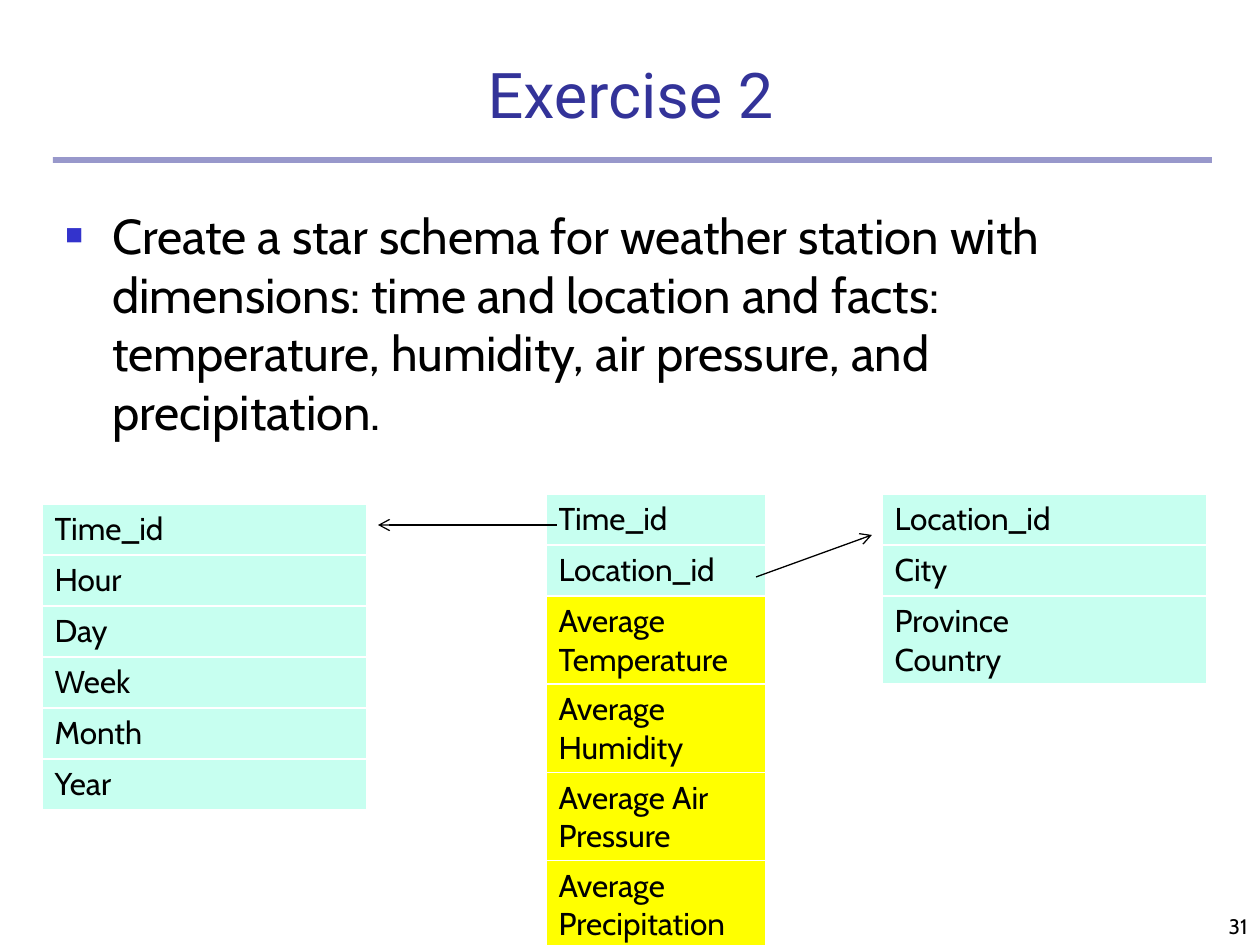
from dataclasses import dataclass

from lxml.etree import SubElement
from pptx import Presentation
from pptx.dml.color import RGBColor
from pptx.enum.shapes import MSO_CONNECTOR, MSO_SHAPE
from pptx.enum.text import MSO_ANCHOR, PP_ALIGN
from pptx.oxml import parse_xml
from pptx.oxml.ns import nsdecls, qn
from pptx.util import Emu, Pt

EMU_PER_PX = 914400 / 126
COLORS = {
    "title": "333399",
    "bullet": "3333CC",
    "text": "000000",
    "key": "C7FFF0",
    "fact": "FFFF00",
    "border": "FFFFFF",
}
KEY_ROW, TALL_ROW = 51, 88


@dataclass(frozen=True)
class Row:
    text: str
    height: int = KEY_ROW
    fill: str = "key"


@dataclass(frozen=True)
class SchemaTable:
    left: int
    top: int
    width: int
    rows: tuple[Row, ...]


@dataclass(frozen=True)
class Arrow:
    start: tuple[int, int]
    end: tuple[int, int]


FACTS = ("Temperature", "Humidity", "Air Pressure", "Precipitation")
TABLES = (
    SchemaTable(546, 494, 220, (
        Row("Time_id"),
        Row("Location_id"),
        *(Row(f"Average {fact}", TALL_ROW, "fact") for fact in FACTS),
    )),
    SchemaTable(42, 504, 325, tuple(
        Row(name) for name in ("Time_id", "Hour", "Day", "Week", "Month", "Year")
    )),
    SchemaTable(882, 494, 325, (
        Row("Location_id"), Row("City"), Row("Province\nCountry", TALL_ROW),
    )),
)
ARROWS = (
    Arrow((557, 525), (378, 525)),
    Arrow((756, 577), (872, 535)),
)


def px(n: int) -> Emu:
    return Emu(round(n * EMU_PER_PX))


def rgb(name: str) -> RGBColor:
    return RGBColor.from_string(COLORS[name])


def write(tf, text: str, size: int, font: str = "Cabin", color: str = "text",
          align=PP_ALIGN.LEFT) -> None:
    tf.text = text
    for p in tf.paragraphs:
        p.alignment = align
        for r in p.runs:
            for name, value in {"size": Pt(size), "name": font}.items():
                setattr(r.font, name, value)
            r.font.color.rgb = rgb(color)


def add_text(s, box: tuple[int, int, int, int], text: str, size: int, **style):
    tf = s.shapes.add_textbox(*map(px, box)).text_frame
    tf.word_wrap = True
    write(tf, text, size, **style)
    return tf


def add_bullet(p) -> None:
    pPr = p._p.get_or_add_pPr()
    pPr.set("marL", str(px(47)))
    pPr.set("indent", str(-px(47)))
    color = SubElement(pPr, qn("a:buClr"))
    SubElement(color, qn("a:srgbClr"), val=COLORS["bullet"])
    SubElement(pPr, qn("a:buSzPct"), val="60000")
    SubElement(pPr, qn("a:buFont"), typeface="Arial")
    SubElement(pPr, qn("a:buChar"), char="■")


def add_title_rule(s) -> None:
    sp = s.shapes.add_shape(MSO_SHAPE.RECTANGLE, *map(px, (53, 157, 1159, 6)))
    sp.shadow.inherit = False
    sp.fill.solid()
    sp.fill.fore_color.rgb = rgb("title")
    sp.line.fill.background()
    color = sp.fill._xPr.find(qn("a:solidFill"))[0]
    SubElement(color, qn("a:alpha"), val="50000")


def add_borders(cell) -> None:
    tcPr = cell._tc.get_or_add_tcPr()
    for i, side in enumerate(("lnL", "lnR", "lnT", "lnB")):
        tcPr.insert(i, parse_xml(
            f'<a:{side} {nsdecls("a")} w="{Pt(1)}"><a:solidFill>'
            f'<a:srgbClr val="{COLORS["border"]}"/></a:solidFill></a:{side}>'
        ))


def add_schema_table(s, spec: SchemaTable) -> None:
    height = sum(row.height for row in spec.rows)
    table = s.shapes.add_table(
        len(spec.rows), 1, *map(px, (spec.left, spec.top, spec.width, height))
    ).table
    table.first_row = table.horz_banding = False
    for i, row in enumerate(spec.rows):
        table.rows[i].height = px(row.height)
        cell = table.cell(i, 0)
        cell.fill.solid()
        cell.fill.fore_color.rgb = rgb(row.fill)
        write(cell.text_frame, row.text, 18)
        add_borders(cell)


def add_arrow(s, arrow: Arrow) -> None:
    line = s.shapes.add_connector(
        MSO_CONNECTOR.STRAIGHT, *map(px, arrow.start + arrow.end)
    )
    line.line.color.rgb = rgb("text")
    line.line.width = Pt(0.75)
    SubElement(line.line._get_or_add_ln(), qn("a:tailEnd"), type="arrow")
    SubElement(line._element.spPr, qn("a:effectLst"))


def main() -> None:
    prs = Presentation()
    prs.slide_width, prs.slide_height = px(1260), px(945)
    s = prs.slides.add_slide(prs.slide_layouts[5])

    add_title_rule(s)
    title = s.shapes.title
    frame = {"left": 53, "top": 42, "width": 1155, "height": 95}
    for name, value in frame.items():
        setattr(title, name, px(value))
    title.text_frame.vertical_anchor = MSO_ANCHOR.BOTTOM
    write(title.text_frame, "Exercise 2", 36, font="Roboto", color="title",
          align=PP_ALIGN.CENTER)

    body = add_text(
        s, (53, 199, 1155, 693),
        "Create a star schema for weather station with dimensions: time and "
        "location and facts: temperature, humidity, air pressure, and "
        "precipitation.", 28,
    )
    body.paragraphs[0].space_before = Pt(5.6)
    add_bullet(body.paragraphs[0])

    number = add_text(s, (998, 882, 262, 63), "31", 12, align=PP_ALIGN.RIGHT)
    number.vertical_anchor = MSO_ANCHOR.BOTTOM

    for spec in TABLES:
        add_schema_table(s, spec)
    for arrow in ARROWS:
        add_arrow(s, arrow)
    prs.save("out.pptx")


if __name__ == "__main__":
    main()
